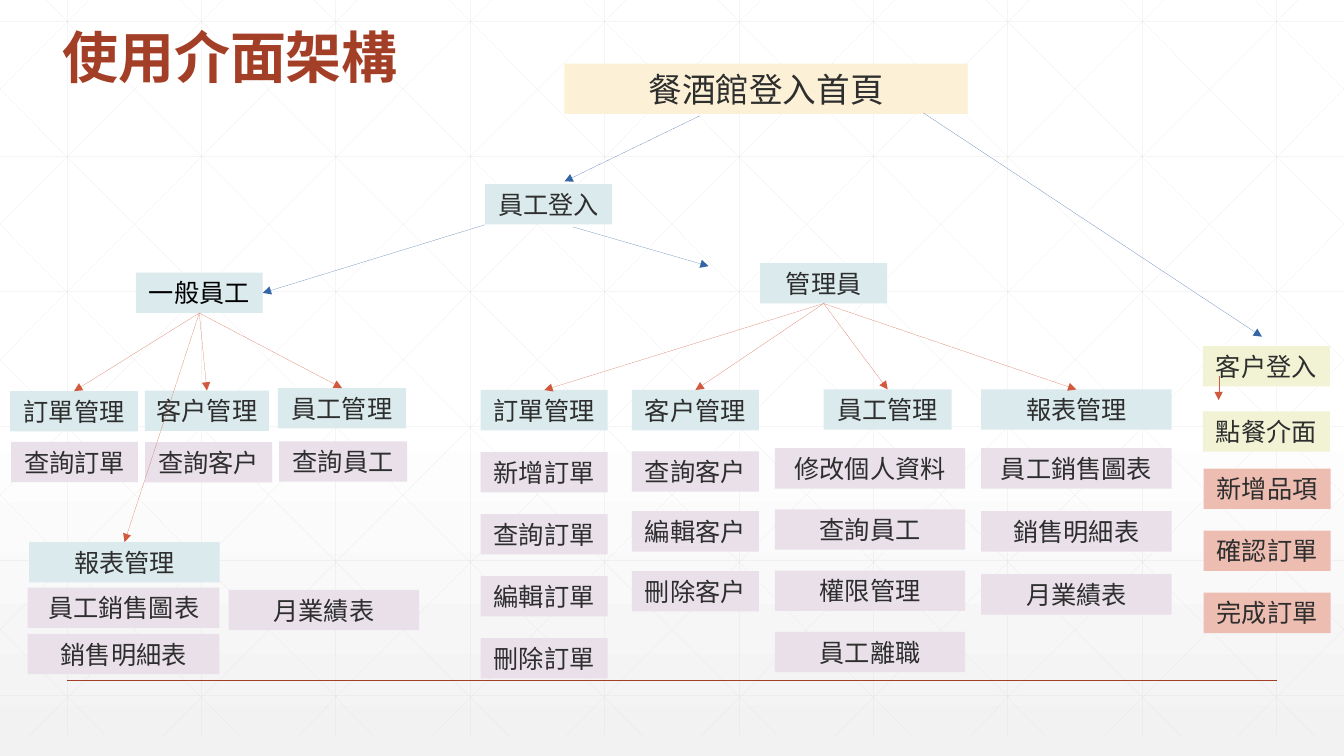
"""Build the interface structure slide: a tree of login pages and functions."""
from lxml import etree
from pptx import Presentation
from pptx.dml.color import RGBColor
from pptx.enum.shapes import MSO_CONNECTOR, MSO_SHAPE
from pptx.enum.text import MSO_ANCHOR, PP_ALIGN
from pptx.oxml.ns import qn
from pptx.util import Pt

STRAIGHT = MSO_CONNECTOR.STRAIGHT
RECT = MSO_SHAPE.RECTANGLE
MIDDLE, BOTTOM = MSO_ANCHOR.MIDDLE, MSO_ANCHOR.BOTTOM
LEFT, CENTER = PP_ALIGN.LEFT, PP_ALIGN.CENTER
TOP_SIDE, BOTTOM_SIDE, RIGHT_SIDE = 0, 2, 3

THEME = {
    "accent": "A43F27", "ink": "2D2E2D", "black": "000000", "grid": "D9D9D9",
    "home": "FCF1D6", "menu": "DBEAED", "item": "E9E0EA",
    "guest": "F1F3D4", "order": "EDBDB2",
    "branch": "D15A3E", "login": "3465A4",
    "backdrop": ((0, "FFFFFF"), (53, "FFFFFF"), (100, "F2F2F2")),
    "latin": "Arial", "cjk": "Noto Sans CJK TC",
    "title_size": 40, "home_size": 24, "box_size": 18,
}
WIDTH, HEIGHT = 960, 540
GRID_BOTTOM = 525
BOX_H = 28.8
NARROW, WIDE = 90.7, 136.1


def add_line(x1, y1, x2, y2, color, width=0, alpha=None, arrow=False):
    """Draw a straight line, optionally see-through or with an arrowhead."""
    cx = s.shapes.add_connector(STRAIGHT, Pt(x1), Pt(y1), Pt(x2), Pt(y2))
    cx.line.color.rgb = RGBColor.from_string(THEME[color])
    ln = cx.element.find(".//" + qn("a:ln"))
    ln.set("w", str(Pt(width)))
    if alpha:
        rgb = ln.find(".//" + qn("a:srgbClr"))
        etree.SubElement(rgb, qn("a:alpha"), val=str(alpha * 1000))
    if arrow:
        etree.SubElement(ln, qn("a:tailEnd"), type="triangle")
    etree.SubElement(ln.getparent(), qn("a:effectLst"))
    return cx


def write(sp, text, color, anchor, align, **font):
    """Put one line of formatted text into a shape."""
    tf = sp.text_frame
    frame = {"word_wrap": True, "vertical_anchor": anchor,
             "margin_left": Pt(7.2), "margin_right": Pt(7.2),
             "margin_top": Pt(3.6), "margin_bottom": Pt(3.6)}
    for name, value in frame.items():
        setattr(tf, name, value)
    p = tf.paragraphs[0]
    p.alignment = align
    r = p.add_run()
    r.text = text
    for name, value in font.items():
        setattr(r.font, name, value)
    r.font.color.rgb = RGBColor.from_string(THEME[color])
    latin = sp.element.find(".//" + qn("a:latin"))
    latin.addnext(latin.makeelement(qn("a:ea"), {"typeface": THEME["cjk"]}))


prs = Presentation()
prs.slide_width, prs.slide_height = Pt(WIDTH), Pt(HEIGHT)
s = prs.slides.add_slide(prs.slide_layouts[6])

fill = s.background.fill
fill.gradient()
fill.gradient_angle = 270
stops = s.element.find(".//" + qn("a:gsLst"))
for stop in list(stops):
    stops.remove(stop)
for pos, color in THEME["backdrop"]:
    stop = etree.SubElement(stops, qn("a:gs"), pos=str(pos * 1000))
    etree.SubElement(stop, qn("a:srgbClr"), val=color)

for i in range(10):
    x = 48 + 96 * i
    add_line(x, 0, x, GRID_BOTTOM, "grid", alpha=25)
for i in range(6):
    y = 15.1 + 96.4 * i
    add_line(0, y, WIDTH, y, "grid", alpha=25)
for i in range(-5, 10):
    x0 = 18 + 96 * i
    x1, x2 = max(0, x0 + 15), min(WIDTH, x0 + 537)
    y1, y2 = [(x - x0) * 540 / 537 - 15 for x in (x1, x2)]
    add_line(x1, y1, x2, y2, "grid", alpha=25)
    add_line(WIDTH - x1, y1, WIDTH - x2, y2, "grid", alpha=25)
add_line(48, 486, 912, 486, "accent", width=1)

title = s.shapes.add_textbox(Pt(37.4), Pt(16.6), Pt(756), Pt(51.8))
write(title, "使用介面架構", "accent", BOTTOM, LEFT,
      name=THEME["cjk"], size=Pt(THEME["title_size"]), bold=True)
title.text_frame.paragraphs[0].line_spacing = 0.9

STACKS = [
    (None, "home", 403.2, 288, 45.4, 0, ["餐酒館登入首頁"]),
    (None, "menu", 346.5, NARROW, 131.6, 0, ["員工登入"]),
    (None, "menu", 97, NARROW, 194.8, 0, ["一般員工"]),
    (None, "menu", 543, NARROW, 188, 0, ["管理員"]),
    (None, "guest", 859.2, NARROW, 247.2, 46.6, ["客戶登入", "點餐介面"]),
    (None, "order", 859.8, NARROW, 334.8, 44.3, ["新增品項", "確認訂單", "完成訂單"]),
    ("管理員", "menu", 343.4, NARROW, 278.6, 0, ["訂單管理"]),
    ("管理員", "menu", 451.4, NARROW, 278.6, 0, ["客戶管理"]),
    ("管理員", "menu", 588.4, 91.4, 278.2, 0, ["員工管理"]),
    ("管理員", "menu", 700.8, WIDE, 278.2, 0, ["報表管理"]),
    (None, "item", 343.4, NARROW, 323, 44.3,
     ["新增訂單", "查詢訂單", "編輯訂單", "刪除訂單"]),
    (None, "item", 451.4, NARROW, 322.4, 42.8, ["查詢客戶", "編輯客戶", "刪除客戶"]),
    (None, "item", 553.4, WIDE, 320.2, 43.7,
     ["修改個人資料", "查詢員工", "權限管理", "員工離職"]),
    (None, "item", 700.8, WIDE, 320.2, 45, ["員工銷售圖表", "銷售明細表", "月業績表"]),
    (None, "item", 7.9, NARROW, 315.6, 0, ["查詢訂單"]),
    (None, "item", 103.7, NARROW, 315.8, 0, ["查詢客戶"]),
    (None, "item", 199.4, 91.4, 315.2, 0, ["查詢員工"]),
    ("一般員工", "menu", 7.2, 91.4, 279.4, 0, ["訂單管理"]),
    ("一般員工", "menu", 103.5, 88.6, 279, 0, ["客戶管理"]),
    ("一般員工", "menu", 198.6, 91.4, 277.2, 0, ["員工管理"]),
    ("一般員工", "menu", 20.9, WIDE, 387.2, 0, ["報表管理"]),
    (None, "item", 19.8, 137, 419.8, 33, ["員工銷售圖表", "銷售明細表"]),
    (None, "item", 163.3, WIDE, 421.4, 0, ["月業績表"]),
]
boxes = {}
for parent, kind, left, width, top, step, texts in STACKS:
    is_home = kind == "home"
    for i, text in enumerate(texts):
        sp = s.shapes.add_shape(RECT, Pt(left), Pt(top + i * step),
                                Pt(width), Pt(36 if is_home else BOX_H))
        sp.shadow.inherit = False
        sp.fill.solid()
        sp.fill.fore_color.rgb = RGBColor.from_string(THEME[kind])
        sp.line.fill.background()
        write(sp, text, "black" if text == "一般員工" else "ink", MIDDLE, CENTER,
              name=THEME["latin"],
              size=Pt(THEME["home_size" if is_home else "box_size"]))
        boxes[text] = sp
        if parent:
            cx = add_line(0, 0, 1, 1, "branch", arrow=True)
            cx.begin_connect(boxes[parent], BOTTOM_SIDE)
            cx.end_connect(sp, TOP_SIDE)

add_line(870.5, 268.6, 870.5, 285.8, "branch", arrow=True)
for ends in [(659.5, 80.6, 901.4, 240.5), (499.7, 82.8, 403.2, 129.6),
             (409, 162, 506.2, 190.1)]:
    add_line(*ends, "login", arrow=True)
cx = add_line(346.3, 160.6, 187.2, 211, "login", arrow=True)
cx.end_connect(boxes["一般員工"], RIGHT_SIDE)

prs.save("out.pptx")
